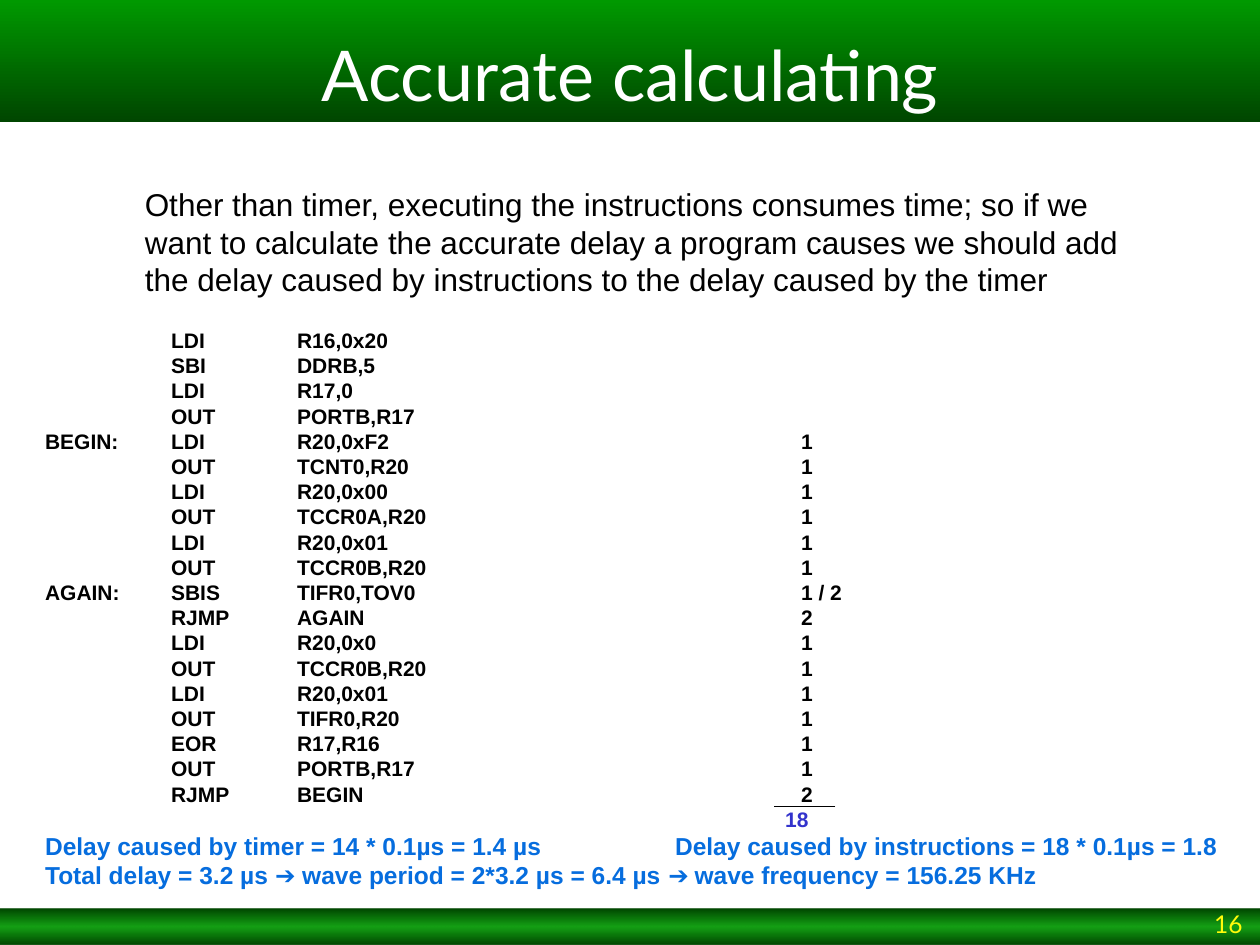
from dataclasses import dataclass

from lxml import etree
from pptx import Presentation
from pptx import util as u
from pptx.dml.color import RGBColor
from pptx.enum import shapes, text
from pptx.oxml import ns


@dataclass(frozen=True)
class Theme:
    dark: str = "004600"
    green: str = "009900"
    white: str = "FFFFFF"
    black: str = "000000"
    blue: str = "066DDE"
    violet: str = "3333CC"
    yellow: str = "FFFB0B"
    head: str = "Lato"
    body: str = "Arial"
    title: int = 40
    lead: int = 18
    note: int = 14
    code: int = 12


T = Theme()
STEP = 2.54
ROWS = [
    ("", "LDI", "R16,0x20", ""),
    ("", "SBI", "DDRB,5", ""),
    ("", "LDI", "R17,0", ""),
    ("", "OUT", "PORTB,R17", ""),
    ("BEGIN:", "LDI", "R20,0xF2", "1"),
    ("", "OUT", "TCNT0,R20", "1"),
    ("", "LDI", "R20,0x00", "1"),
    ("", "OUT", "TCCR0A,R20", "1"),
    ("", "LDI", "R20,0x01", "1"),
    ("", "OUT", "TCCR0B,R20", "1"),
    ("AGAIN:", "SBIS", "TIFR0,TOV0", "1 / 2"),
    ("", "RJMP", "AGAIN", "2"),
    ("", "LDI", "R20,0x0", "1"),
    ("", "OUT", "TCCR0B,R20", "1"),
    ("", "LDI", "R20,0x01", "1"),
    ("", "OUT", "TIFR0,R20", "1"),
    ("", "EOR", "R17,R16", "1"),
    ("", "OUT", "PORTB,R17", "1"),
    ("", "RJMP", "BEGIN", "2"),
]
NOTES = [
    "Delay caused by timer = 14 * 0.1µs = 1.4 µs\tDelay caused by instructions = 18 * 0.1µs = 1.8",
    "Total delay = 3.2 µs ➔ wave period = 2*3.2 µs = 6.4 µs ➔ wave frequency = 156.25 KHz",
]


def rgb(code):
    return RGBColor.from_string(code)


def write(para, words, size=T.code, font=T.body, color=T.black, bold=False,
          align=text.PP_ALIGN.LEFT, pitch=None, tabs=()):
    para.alignment = align
    if pitch:
        para.line_spacing = u.Pt(pitch)
    if tabs:
        stops = etree.SubElement(para._p.get_or_add_pPr(), ns.qn("a:tabLst"))
        for stop in tabs:
            etree.SubElement(stops, ns.qn("a:tab"), pos=str(u.Cm(stop)), algn="l")
    run = para.add_run()
    run.text = words
    run.font.size = u.Pt(size)
    run.font.name = font
    run.font.bold = bold
    run.font.color.rgb = rgb(color)


def frame(slide, box, anchor=text.MSO_ANCHOR.TOP):
    area = slide.shapes.add_textbox(*map(u.Cm, box)).text_frame
    area.word_wrap = True
    area.vertical_anchor = anchor
    return area


def band(slide, box, stops):
    bar = slide.shapes.add_shape(shapes.MSO_SHAPE.RECTANGLE, *map(u.Cm, box))
    bar.shadow.inherit = False
    bar.line.fill.background()
    bar.fill.gradient()
    bar.fill.gradient_angle = 270
    marks = bar._element.spPr.find(".//" + ns.qn("a:gsLst"))
    for mark in list(marks):
        marks.remove(mark)
    for place, color, alpha in stops:
        mark = etree.SubElement(marks, ns.qn("a:gs"), pos=str(place * 1000))
        tint = etree.SubElement(mark, ns.qn("a:srgbClr"), val=color)
        if alpha < 100:
            etree.SubElement(tint, ns.qn("a:alpha"), val=str(alpha * 1000))
    return bar


def header(slide, box):
    bar = band(slide, box, [(0, T.green, 100), (100, T.dark, 100)])
    area = bar.text_frame
    area.word_wrap = True
    area.vertical_anchor = text.MSO_ANCHOR.BOTTOM
    write(area.paragraphs[0], "Accurate calculating", size=T.title, font=T.head,
          color=T.white, align=text.PP_ALIGN.CENTER)


def footer(slide, box):
    left, top, width, height = box
    band(slide, box, [(0, T.dark, 100), (50, T.green, 92), (100, T.dark, 100)])
    area = frame(slide, (left + width - 5.51, top + 0.03, 5.41, height - 0.03),
                 text.MSO_ANCHOR.BOTTOM)
    write(area.paragraphs[0], "16", size=T.note, font=T.head, color=T.yellow,
          align=text.PP_ALIGN.RIGHT)


def intro(slide, box):
    write(frame(slide, box).paragraphs[0],
          "Other than timer, executing the instructions consumes time; so if we want to "
          "calculate the accurate delay a program causes we should add the delay caused by "
          "instructions to the delay caused by the timer", size=T.lead, pitch=21.5)


def listing(slide, box):
    left, top = box[:2]
    area = frame(slide, box)
    para = area.paragraphs[0]
    for num, row in enumerate(ROWS):
        if num:
            para = area.add_paragraph()
        write(para, "\t".join(row).rstrip("\t"), bold=True,
              pitch=14.4 if num else 16.6, tabs=(STEP, 2 * STEP, 6 * STEP))
    write(area.add_paragraph(), "\t18", color=T.violet, bold=True, pitch=14.4, tabs=(14.92,))
    for note in NOTES:
        write(area.add_paragraph(), note, size=T.note, color=T.blue, bold=True,
              pitch=16.6, tabs=(5 * STEP,))
    rule = slide.shapes.add_connector(
        shapes.MSO_CONNECTOR.STRAIGHT,
        *map(u.Cm, (left + 16.18, top + 9.86, left + 14.94, top + 9.86)))
    rule.line.color.rgb = rgb(T.black)
    rule.line.width = u.Pt(0.75)
    etree.SubElement(rule._element.spPr, ns.qn("a:effectLst"))


def main():
    deck = Presentation()
    deck.slide_width, deck.slide_height = u.Cm(25.4), u.Cm(19.05)
    slide = deck.slides.add_slide(deck.slide_layouts[6])
    header(slide, (0, 0, 25.4, 2.46))
    listing(slide, (0.66, 6.4, 24.23, 11.68))
    intro(slide, (2.67, 3.61, 21.01, 2.54))
    footer(slide, (0, 18.31, 25.4, 0.74))
    deck.save("out.pptx")


if __name__ == "__main__":
    main()
